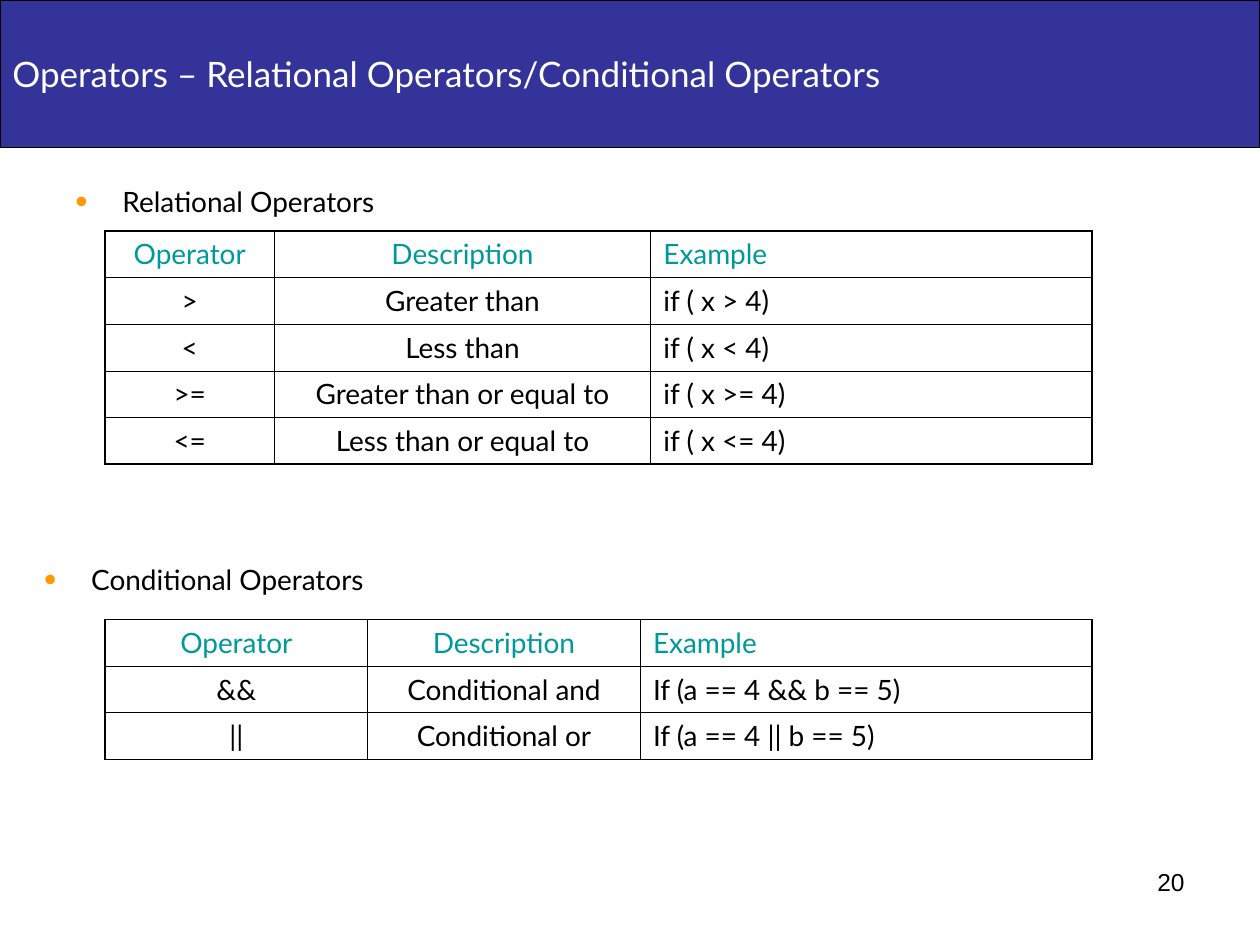
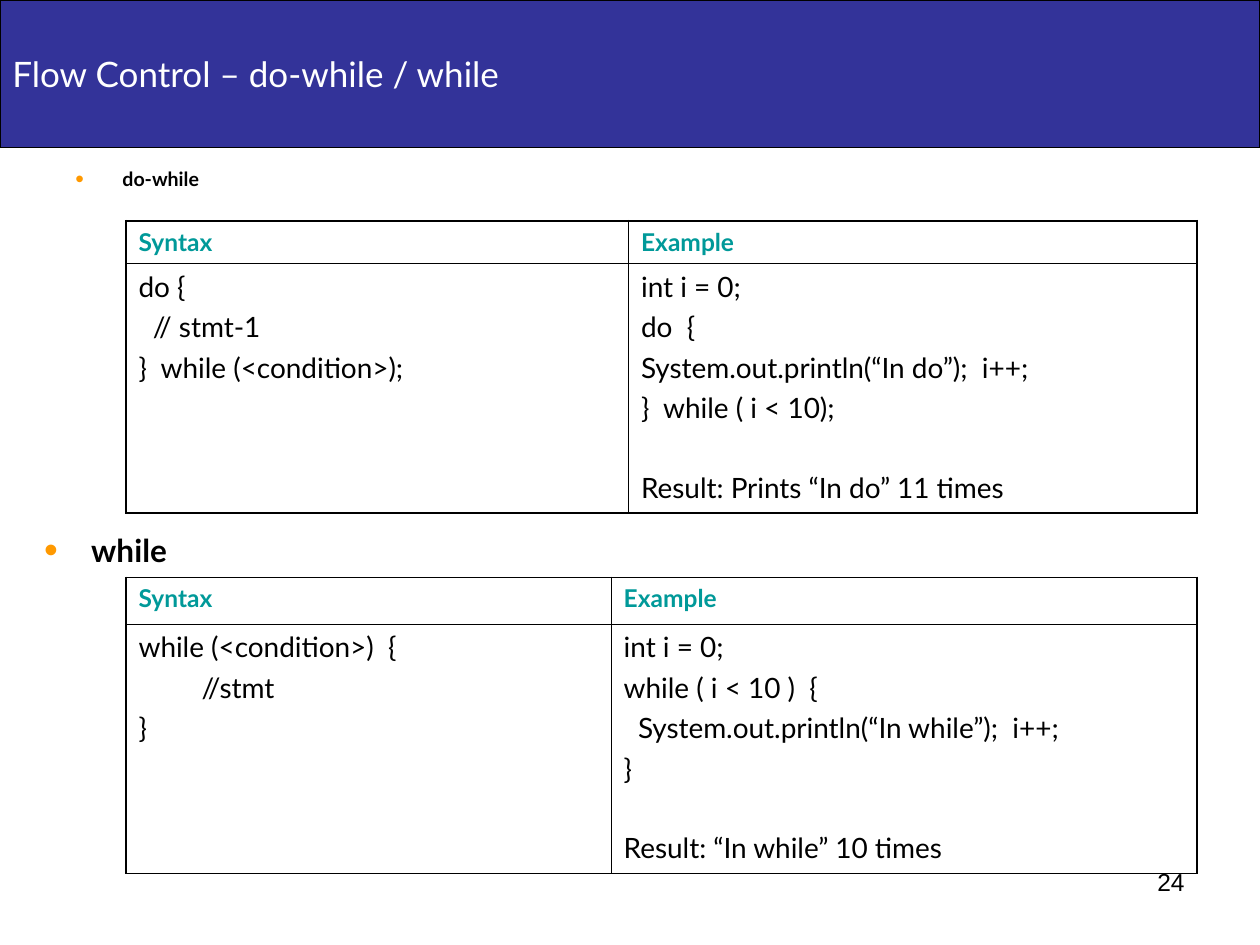
from dataclasses import dataclass

from lxml import etree
from pptx import Presentation
from pptx.dml.color import RGBColor
from pptx.enum import shapes, text
from pptx.oxml import ns
from pptx.util import Cm, Pt

LEFT, MID, RIGHT = text.PP_ALIGN.LEFT, text.PP_ALIGN.CENTER, text.PP_ALIGN.RIGHT


@dataclass(frozen=True)
class Theme:
    """Colours, fonts and sizes that the slides share."""
    ink: str = "000000"
    paper: str = "FFFFFF"
    band: str = "333399"
    head: str = "009999"
    dot: str = "FF9900"
    font: str = "Lato"
    plain: str = "Arial"
    title: float = 20
    body: float = 16
    label: float = 14
    lead: float = 18
    small: float = 11.2
    thick: float = 1.08
    thin: float = 0.45
    gap: float = 4
    skip: float = 26.5


T = Theme()


def node(parent, tag, **attrs):
    """Append an a: element with the given attributes."""
    return etree.SubElement(parent, ns.qn("a:" + tag), attrs)


def write(frame, words, size=T.body, color=T.ink, font=T.font, bold=False,
          align=LEFT, bullet=False):
    """Fill a frame line by line; an empty line widens the next gap."""
    frame.word_wrap = True
    lines = words.split("\n")
    for i, line in enumerate(lines):
        if not line:
            continue
        para = frame.paragraphs[0] if i == 0 else frame.add_paragraph()
        if bullet:
            props = para._p.get_or_add_pPr()
            props.set("marL", str(Cm(0.95)))
            props.set("indent", str(Cm(-0.95)))
            node(node(props, "buClr"), "srgbClr", val=T.dot)
            node(props, "buSzPct", val="125000")
            node(props, "buFont", typeface=T.plain)
            node(props, "buChar", char="•")
        para.alignment = align
        if i:
            para.space_before = Pt(T.gap if lines[i - 1] else T.skip)
        run = para.add_run()
        run.text = line
        run.font.size, run.font.name, run.font.bold = Pt(size), font, bold
        run.font.color.rgb = RGBColor.from_string(color)


def note(slide, box, words, **style):
    """Place a text box."""
    frame = slide.shapes.add_textbox(*map(Cm, box)).text_frame
    write(frame, words, **style)


def banner(slide, box, words):
    """Draw the title band."""
    band = slide.shapes.add_shape(shapes.MSO_SHAPE.RECTANGLE, *map(Cm, box))
    band.shadow.inherit = False
    band.fill.solid()
    band.fill.fore_color.rgb = RGBColor.from_string(T.band)
    band.line.color.rgb = RGBColor.from_string(T.ink)
    band.line.width = Pt(0.75)
    band.text_frame.vertical_anchor = text.MSO_ANCHOR.MIDDLE
    write(band.text_frame, words, size=T.title, color=T.paper)


def edge(cell, sides):
    """Rule the sides of a cell, thick where the side is on the rim."""
    props = cell._tc.get_or_add_tcPr()
    for i, (side, rim) in enumerate(sides.items()):
        line = node(props, "ln" + side, w=str(Pt(T.thick if rim else T.thin)))
        node(node(line, "solidFill"), "srgbClr", val=T.ink)
        props.insert(i, line)


def grid(slide, spot, cols, rows, data, aligns, head):
    """Draw a table with a coloured head row and a thick rim."""
    last, end = len(rows) - 1, len(cols) - 1
    box = (*spot, sum(cols), sum(rows))
    table = slide.shapes.add_table(len(rows), len(cols), *map(Cm, box)).table
    table.first_row = table.horz_banding = False
    for col, width in zip(table.columns, cols):
        col.width = Cm(width)
    for row, height in zip(table.rows, rows):
        row.height = Cm(height)
    for r, line in enumerate(data):
        for c, words in enumerate(line):
            cell = table.cell(r, c)
            cell.fill.background()
            edge(cell, {"L": c == 0, "R": c == end, "T": r == 0, "B": r == last})
            style = head if r == 0 else {}
            write(cell.text_frame, words, align=aligns[c], **style)


def base(deck, title, number):
    """Add a slide with its band and number."""
    slide = deck.slides.add_slide(deck.slide_layouts[6])
    banner(slide, (0, 0, 25.4, 2.97), title)
    note(slide, (18.2, 17.36, 5.93, 1.31), number, size=T.label,
         font=T.plain, align=RIGHT)
    return slide


def signs(deck):
    """Build the slide on operators."""
    slide = base(deck, "Operators – Relational Operators/Conditional Operators", "20")
    names = ("Operator", "Description", "Example")
    parts = [
        ("Relational Operators", (1.27, 3.6), (2.12, 4.66), (3.41, 7.59, 8.89), [
            (">", "Greater than", "if ( x > 4)"),
            ("<", "Less than", "if ( x < 4)"),
            (">=", "Greater than or equal to", "if ( x >= 4)"),
            ("<=", "Less than or equal to", "if ( x <= 4)")]),
        ("Conditional Operators", (0.64, 11.22), (2.12, 12.49), (5.29, 5.5, 9.1), [
            ("&&", "Conditional and", "If (a == 4 && b == 5)"),
            ("||", "Conditional or", "If (a == 4 || b == 5)")])]
    for label, place, spot, cols, data in parts:
        note(slide, (*place, 11.22, 1.06), label, bullet=True)
        grid(slide, spot, cols, [0.94] * (len(data) + 1), [names, *data],
             (MID, MID, LEFT), dict(color=T.head))


def loops(deck):
    """Build the slide on loops."""
    slide = base(deck, "Flow Control – do-while / while", "24")
    parts = [
        ("do-while", T.small, (1.27, 3.25, 7.83, 1.06), 4.45, (10.13, 11.46), 0.86,
         "do {\n  // stmt-1\n}  while (<condition>);",
         "int i = 0;\ndo  {\nSystem.out.println(“In do”);  i++;\n"
         "}  while ( i < 10);\n\nResult: Prints “In do” 11 times"),
        ("while", T.lead, (0.64, 10.58, 11.22, 1.06), 11.64, (9.78, 11.81), 0.94,
         "while (<condition>)  {\n\t//stmt\n}",
         "int i = 0;\nwhile ( i < 10 )  {\n  System.out.println(“In while”);  i++;\n"
         "}\n\nResult: “In while” 10 times")]
    for label, size, box, top, cols, height, *code in parts:
        note(slide, box, label, size=size, bold=True, bullet=True)
        grid(slide, (2.54, top), cols, (height, 5.03),
             [("Syntax", "Example"), code], (LEFT, LEFT),
             dict(size=T.label, color=T.head, bold=True))


def main():
    """Build and save the deck."""
    deck = Presentation()
    deck.slide_width, deck.slide_height = Cm(25.4), Cm(19.05)
    signs(deck)
    loops(deck)
    deck.save("out.pptx")


if __name__ == "__main__":
    main()
